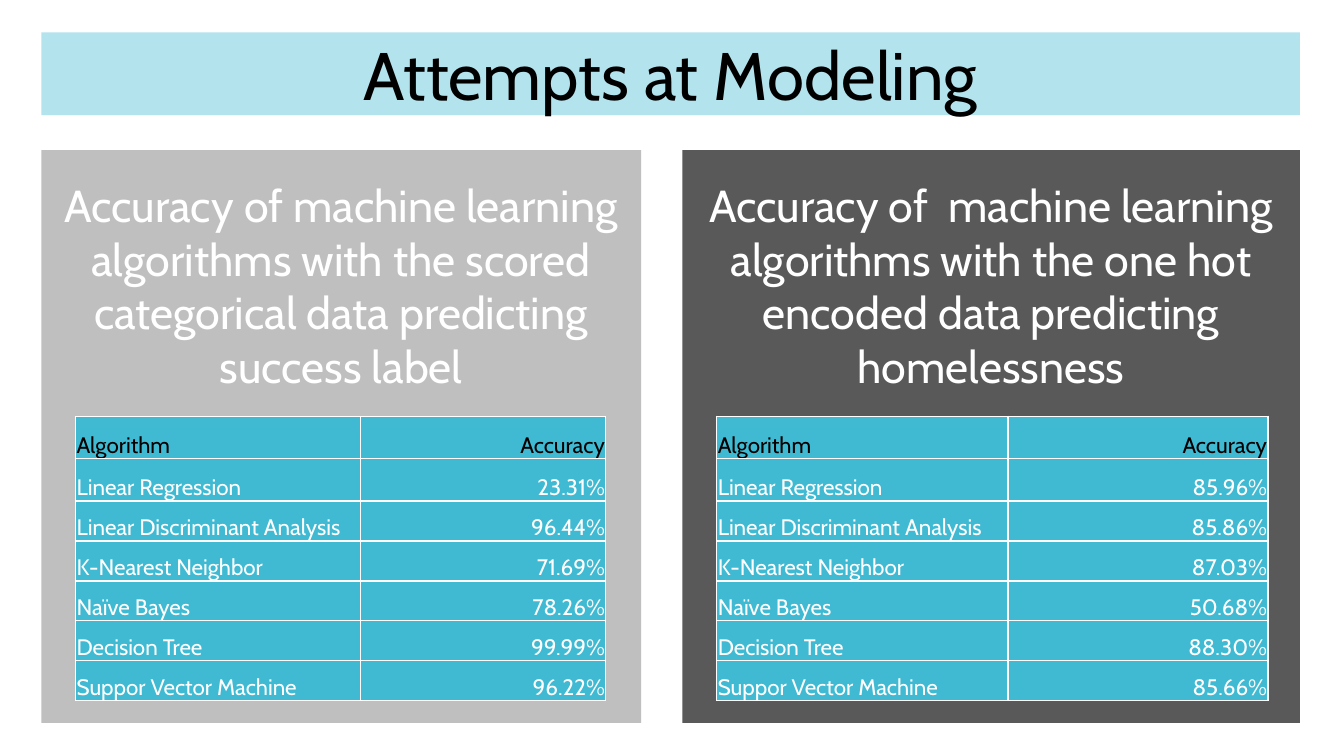
from pptx import Presentation
from pptx import util as u
from pptx.dml.color import RGBColor
from pptx.enum import shapes, text

FONT = "Cabin"
BLACK, WHITE, TABLE_BLUE = "000000", "FFFFFF", "40BAD2"
ALGORITHMS = ["Linear Regression", "Linear Discriminant Analysis", "K-Nearest Neighbor",
              "Naïve Bayes", "Decision Tree", "Suppor Vector Machine"]


def color(hex_string):
    return RGBColor.from_string(hex_string)


def format_paragraph(paragraph, size, hex_string, alignment):
    paragraph.alignment = alignment
    for run in paragraph.runs:
        run.font.name = FONT
        run.font.size = u.Pt(size)
        run.font.color.rgb = color(hex_string)


def add_box(slide, box, fill, words, size, hex_string):
    shape = slide.shapes.add_shape(shapes.MSO_SHAPE.RECTANGLE, *map(u.Pt, box))
    shape.shadow.inherit = False
    shape.fill.solid()
    shape.fill.fore_color.rgb = color(fill)
    shape.line.fill.background()
    frame = shape.text_frame
    frame.word_wrap = True
    frame.vertical_anchor = text.MSO_ANCHOR.MIDDLE
    frame.text = words
    format_paragraph(frame.paragraphs[0], size, hex_string, text.PP_ALIGN.CENTER)
    return shape


def add_accuracy_table(slide, left, top, column_widths, accuracies):
    rows = [("Algorithm", "Accuracy"), *zip(ALGORITHMS, accuracies)]
    row_heights = [30.3] * 2 + [28.57] * 5
    frame = slide.shapes.add_table(len(rows), 2, u.Pt(left), u.Pt(top),
                                   u.Pt(sum(column_widths)), u.Pt(sum(row_heights)))
    table = frame.table
    table.first_row = table.horz_banding = False
    for column, width in zip(table.columns, column_widths):
        column.width = u.Pt(width)
    for row, height in zip(table.rows, row_heights):
        row.height = u.Pt(height)

    alignments = (text.PP_ALIGN.LEFT, text.PP_ALIGN.RIGHT)
    for row_index, row in enumerate(rows):
        for column_index, words in enumerate(row):
            cell = table.cell(row_index, column_index)
            cell.fill.solid()
            cell.fill.fore_color.rgb = color(TABLE_BLUE)
            cell.margin_left = cell.margin_right = cell.margin_top = u.Pt(0.75)
            cell.margin_bottom = u.Pt(0)
            cell.vertical_anchor = text.MSO_ANCHOR.BOTTOM
            cell.text_frame.text = words
            format_paragraph(cell.text_frame.paragraphs[0], 16,
                             WHITE if row_index else BLACK, alignments[column_index])


def add_panel(slide, box, fill, heading, column_widths, accuracies):
    left, top, _, _ = box
    # Heading at the top of the panel
    panel = add_box(slide, box, fill, heading, 32, WHITE)
    panel.text_frame.vertical_anchor = text.MSO_ANCHOR.TOP
    panel.text_frame.margin_top = u.Pt(19.5)
    # Table below the heading
    add_accuracy_table(slide, left + 24.5, top + 190, column_widths, accuracies)


def main():
    presentation = Presentation()
    presentation.slide_width, presentation.slide_height = u.Pt(960), u.Pt(540)
    slide = presentation.slides.add_slide(presentation.slide_layouts[6])

    # Title band
    add_box(slide, (29.5, 23.2, 899, 59), "B3E3ED", "Attempts at Modeling", 48, BLACK)

    # Scored data on the left, one hot encoded data on the right
    add_panel(slide, (29.5, 107.3, 428.4, 409), "BFBFBF",
              "Accuracy of machine learning algorithms with the scored "
              "categorical data predicting success label",
              (203.8, 175), ["23.31%", "96.44%", "71.69%", "78.26%", "99.99%", "96.22%"])
    add_panel(slide, (487.5, 107.3, 441, 409), "595959",
              "Accuracy of  machine learning algorithms with the one hot "
              "encoded data predicting homelessness",
              (208, 185.8), ["85.96%", "85.86%", "87.03%", "50.68%", "88.30%", "85.66%"])

    presentation.save("out.pptx")


if __name__ == "__main__":
    main()
